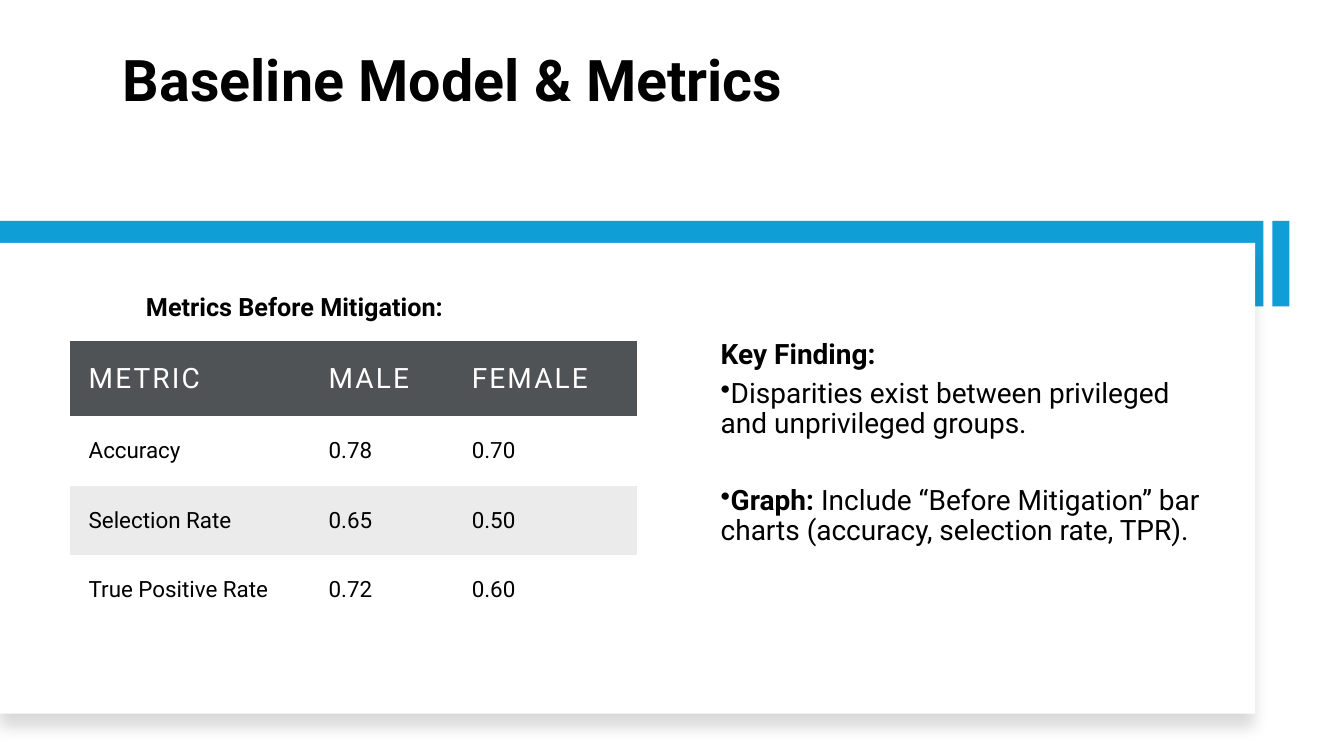
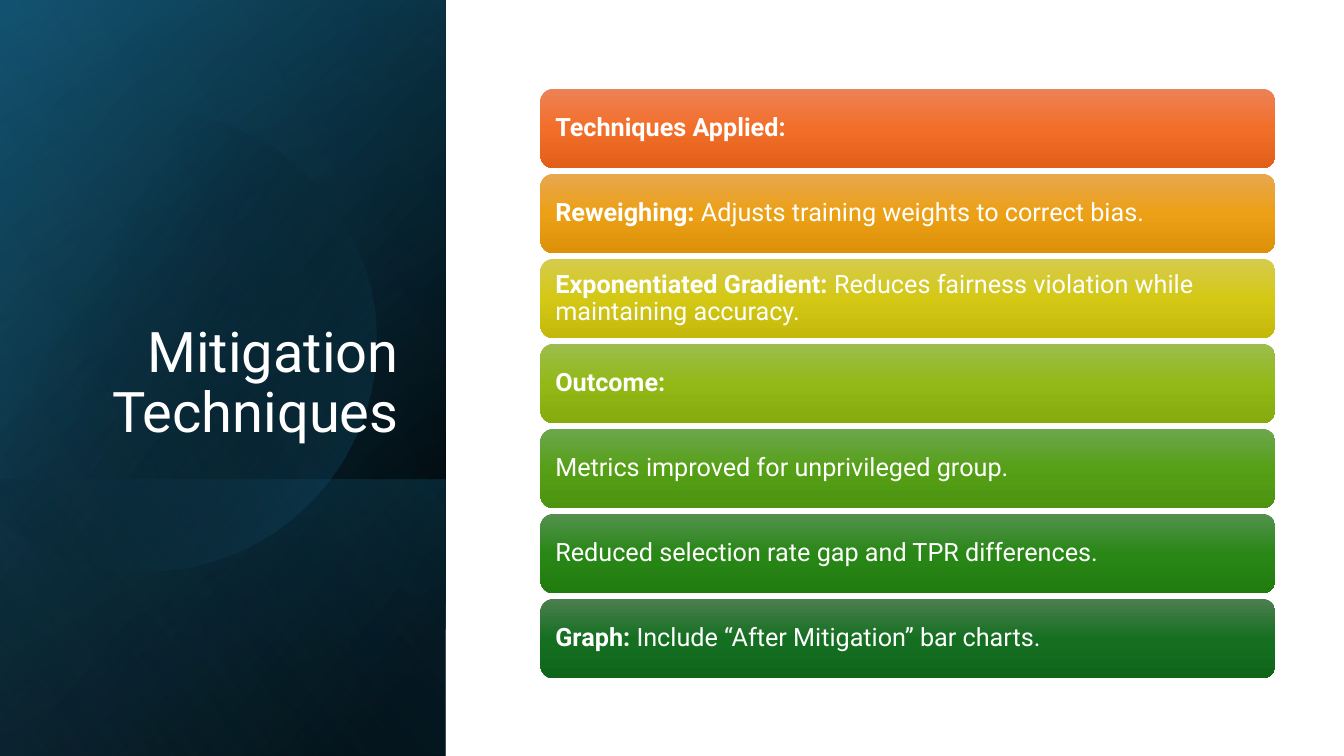
"""Build two slides on model metrics and bias mitigation."""
import math

from pptx import Presentation
from pptx import util as u
from pptx.dml import color as dml
from pptx.enum import shapes, text
from pptx.oxml import ns, parse_xml

FONT = "Roboto"
BLACK, WHITE = "000000", "FFFFFF"
BLUE, HEADER, STRIPE = "0F9ED5", "505356", "EBEBEB"
DEEP, TEAL, SKY = "104862", "156082", "46B1E1"
PLAIN_TABLE = "{2D5ABB26-0587-4C30-8999-92F81FD0307C}"
SIDE_W, SLIDE_H = 4.42, 7.5

METRICS = [
    ("METRIC", "MALE", "FEMALE"),
    ("Accuracy", "0.78", "0.70"),
    ("Selection Rate", "0.65", "0.50"),
    ("True Positive Rate", "0.72", "0.60"),
]
TECHNIQUES = [
    ("Techniques Applied:", "", ("ED8257", "F26E29", "E25F1A")),
    ("Reweighing:", " Adjusts training weights to correct bias.",
     ("E8A74F", "ECA015", "DD9108")),
    ("Exponentiated Gradient:",
     " Reduces fairness violation while maintaining accuracy.",
     ("D5CB4E", "D4C815", "C4B90B")),
    ("Outcome:", "", ("9CBD4E", "92B916", "85AB0D")),
    ("", "Metrics improved for unprivileged group.",
     ("6DA64E", "56A017", "4C930F")),
    ("", "Reduced selection rate gap and TPR differences.",
     ("53914E", "298716", "217C0F")),
    ("Graph:", " Include “After Mitigation” bar charts.",
     ("4D7E50", "156F21", "0F661B")),
]


def rgb(value):
    """Turn a hex string into a colour."""
    return dml.RGBColor.from_string(value)


def inches(*values):
    """Turn numbers into lengths."""
    return [u.Inches(v) for v in values]


def xml(markup):
    """Make an element in the drawing namespace."""
    head, tail = markup.split(" ", 1)
    return parse_xml(f"{head} {ns.nsdecls('a')} {tail}")


def write(tf, bold="", plain="", size=18, color=BLACK, align=None, spacing=0.9,
          after=0, track=0, bullet=False):
    """Add a paragraph with a bold lead and a plain remainder."""
    p = tf.paragraphs[-1]
    if p.runs:
        p = tf.add_paragraph()
    p.alignment, p.line_spacing, p.space_after = align, spacing, u.Pt(after)
    if bullet:
        pPr = p._p.get_or_add_pPr()
        pPr.set("marL", "0")
        pPr.set("indent", str(u.Inches(-0.25)))
        pPr.append(xml('<a:buChar char="•"/>'))
    for content, is_bold in ((bold, True), (plain, False)):
        if content:
            r = p.add_run()
            r.text = content
            r.font.name, r.font.size, r.font.bold = FONT, u.Pt(size), is_bold
            r.font.color.rgb = rgb(color)
            if track:
                r._r.get_or_add_rPr().set("spc", str(int(track * 100)))


def textbox(slide, x, y, w, h, anchor=text.MSO_ANCHOR.TOP):
    """Add a wrapping text box and return its frame."""
    tf = slide.shapes.add_textbox(*inches(x, y, w, h)).text_frame
    tf.word_wrap, tf.vertical_anchor = True, anchor
    return tf


def title(slide, box, **fmt):
    """Add a bottom-anchored slide title."""
    write(textbox(slide, *box, anchor=text.MSO_ANCHOR.BOTTOM), **fmt)


def clean(s):
    """Remove the outline and the shadow of a shape."""
    s.line.fill.background()
    s.shadow.inherit = False
    return s


def box(slide, x, y, w, h, fill=None, kind=shapes.MSO_SHAPE.RECTANGLE):
    """Add a borderless shape with an optional solid fill."""
    s = clean(slide.shapes.add_shape(kind, *inches(x, y, w, h)))
    if fill:
        s.fill.solid()
        s.fill.fore_color.rgb = rgb(fill)
    return s


def gradient(s, angle, *stops):
    """Fill a shape with (position, colour, opacity) stops."""
    s.fill.background()
    marks = "".join(
        f'<a:gs pos="{pos * 1000}"><a:srgbClr val="{color}">'
        f'<a:alpha val="{alpha * 1000}"/></a:srgbClr></a:gs>'
        for pos, color, alpha in stops)
    fill = xml(f'<a:gradFill rotWithShape="1"><a:gsLst>{marks}</a:gsLst>'
               f'<a:lin ang="{angle * 60000}" scaled="0"/></a:gradFill>')
    spPr = s._element.spPr
    spPr.replace(spPr.find(ns.qn("a:noFill")), fill)


def drop_shadow(s):
    """Give a shape a soft shadow below it."""
    s._element.spPr.find(ns.qn("a:effectLst")).append(xml(
        f'<a:outerShdw blurRad="{u.Pt(11)}" dist="{u.Pt(10)}" dir="5400000" '
        f'rotWithShape="0"><a:srgbClr val="{BLACK}"><a:alpha val="15000"/>'
        '</a:srgbClr></a:outerShdw>'))


def side_panel(slide, angle, *stops, top=0):
    """Add a turned, mirrored gradient layer down the left side."""
    length = SLIDE_H - top
    s = box(slide, (SIDE_W - length) / 2, top + (length - SIDE_W) / 2,
            length, SIDE_W)
    s.rotation = 90
    s._element.spPr.find(ns.qn("a:xfrm")).set("flipH", "1")
    gradient(s, angle, *stops)


def side_disc(slide, cx, cy, radius):
    """Add a translucent disc cut off by the slide's left edge."""
    limit = math.acos(-cx / radius)
    steps = 120
    turns = [limit * (2 * i / steps - 1) for i in range(steps + 1)]
    points = [inches(cx + radius * math.cos(t), cy + radius * math.sin(t))
              for t in turns]
    outline = slide.shapes.build_freeform(*points[0])
    outline.add_line_segments(points[1:], close=True)
    s = clean(outline.convert_to_shape())
    gradient(s, 30, (29, BLACK, 0), (100, TEAL, 43))


def metrics_table(slide, x, y, widths, heights):
    """Add the striped metrics table."""
    frame = slide.shapes.add_table(
        len(heights), len(widths),
        *inches(x, y, sum(widths), sum(heights)))
    table = frame.table
    table._tbl.tblPr.find(ns.qn("a:tableStyleId")).text = PLAIN_TABLE
    table.first_row = table.horz_banding = False
    for col, width in zip(table.columns, widths):
        col.width = u.Inches(width)
    for i, (row, height) in enumerate(zip(table.rows, heights)):
        row.height = u.Inches(height)
        fill = HEADER if i == 0 else (WHITE, STRIPE)[(i + 1) % 2]
        fmt = (dict(size=20, color=WHITE, track=1.5) if i == 0
               else dict(size=16))
        for cell, value in zip(row.cells, METRICS[i]):
            cell.fill.solid()
            cell.fill.fore_color.rgb = rgb(fill)
            cell.vertical_anchor = text.MSO_ANCHOR.MIDDLE
            cell.margin_left = cell.margin_right = u.Inches(0.19)
            cell.margin_top = cell.margin_bottom = u.Inches(0.19)
            write(cell.text_frame, plain=value, spacing=1.0, **fmt)


def technique_bar(slide, y, bold, plain, colors):
    """Add one rounded bar of the techniques list."""
    s = box(slide, 5.36, y, 7.29, 0.79,
            kind=shapes.MSO_SHAPE.ROUNDED_RECTANGLE)
    gradient(s, 90, *((pos, c, 100) for pos, c in zip((0, 50, 100), colors)))
    tf = s.text_frame
    tf.word_wrap, tf.vertical_anchor = True, text.MSO_ANCHOR.MIDDLE
    tf.margin_left = tf.margin_right = u.Inches(0.11)
    write(tf, bold, plain, color=WHITE, align=text.PP_ALIGN.LEFT)


def baseline_slide(slide):
    """Build the baseline metrics slide."""
    title(slide, (1.12, 0.42, 11.09, 0.76), bold="Baseline Model & Metrics",
          size=41)
    box(slide, 0, 2.19, 12.53, 0.85, BLUE)
    drop_shadow(box(slide, 0, 2.41, 12.45, 4.67, WHITE))
    box(slide, 12.62, 2.19, 0.17, 0.85, BLUE)
    tf = textbox(slide, 7.05, 2.41, 4.96, 3.98, text.MSO_ANCHOR.MIDDLE)
    write(tf, "Key Finding:", size=20, after=6)
    write(tf, plain="Disparities exist between privileged and unprivileged "
          "groups.", size=20, after=33, bullet=True)
    write(tf, "Graph:", " Include “Before Mitigation” bar charts (accuracy, "
          "selection rate, TPR).", size=20, after=6, bullet=True)
    metrics_table(slide, 0.69, 3.38, (2.38, 1.42, 1.83),
                  (0.75, 0.69, 0.69, 0.69))
    write(textbox(slide, 1.35, 2.84, 4.13, 0.71),
          "Metrics Before Mitigation:", spacing=1.0)


def mitigation_slide(slide):
    """Build the mitigation techniques slide."""
    side_panel(slide, 50, (8, BLACK, 100), (100, DEEP, 100))
    side_panel(slide, 30, (0, BLACK, 0), (99, TEAL, 46))
    side_panel(slide, 130, (2, TEAL, 29), (100, BLACK, 30), top=4.76)
    side_disc(slide, 1.44, 3.38, 2.29)
    side_panel(slide, 120, (0, BLACK, 0), (99, SKY, 11))
    title(slide, (0.64, 1.84, 3.41, 2.62), plain="Mitigation Techniques",
          size=40, color=WHITE, align=text.PP_ALIGN.RIGHT)
    first, last = 0.88, 5.94
    step = (last - first) / (len(TECHNIQUES) - 1)
    for i, technique in enumerate(TECHNIQUES):
        technique_bar(slide, first + i * step, *technique)


def main():
    """Create and save the presentation."""
    prs = Presentation()
    prs.slide_width, prs.slide_height = inches(13.33, SLIDE_H)
    for build in (baseline_slide, mitigation_slide):
        build(prs.slides.add_slide(prs.slide_layouts[6]))
    prs.save("out.pptx")


if __name__ == "__main__":
    main()
